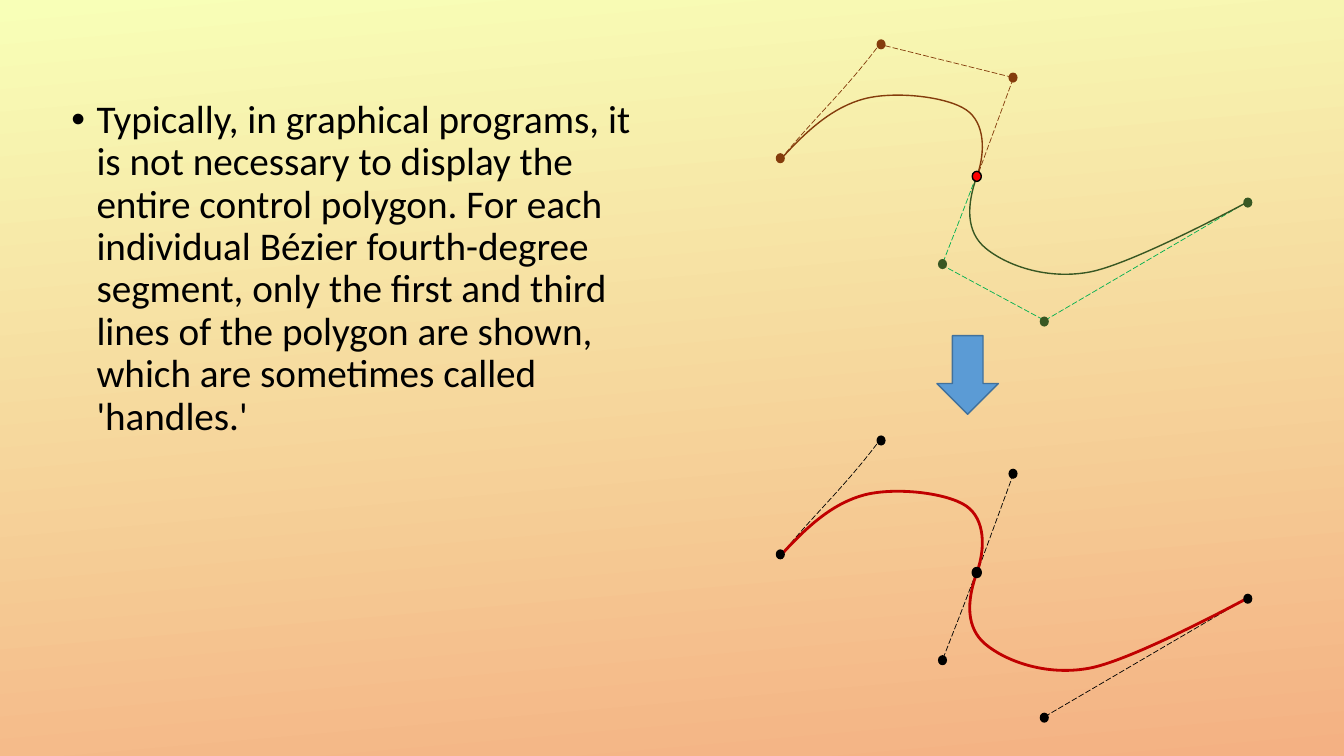
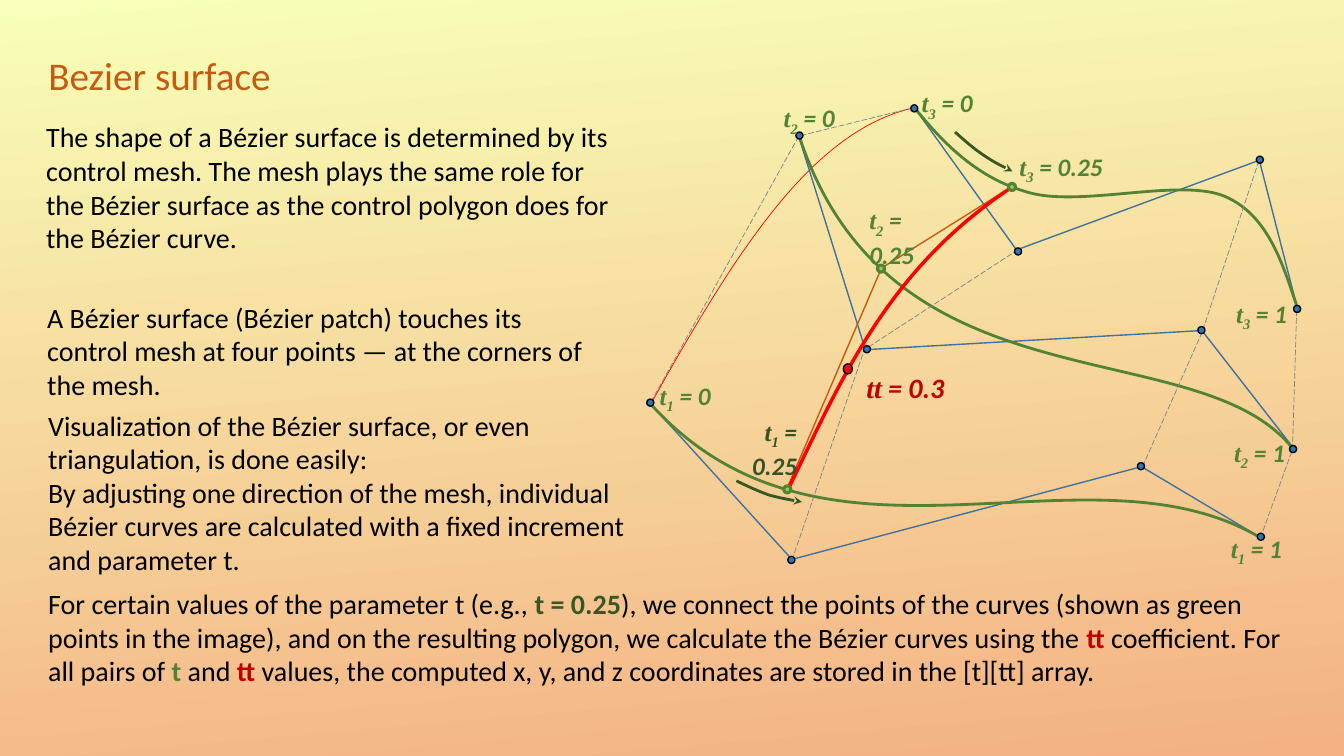
from lxml import etree
from pptx import Presentation
from pptx.dml.color import RGBColor
from pptx.enum.dml import MSO_LINE
from pptx.enum.shapes import MSO_SHAPE
from pptx.enum.text import MSO_ANCHOR, MSO_AUTO_SIZE, PP_ALIGN
from pptx.oxml.ns import qn
from pptx.util import Inches, Pt

LONG_DASH = MSO_LINE.LONG_DASH
ELLIPSE, DOWN_ARROW = MSO_SHAPE.OVAL, MSO_SHAPE.DOWN_ARROW
LEFT, RIGHT = PP_ALIGN.LEFT, PP_ALIGN.RIGHT
TOP = MSO_ANCHOR.TOP
FIT_SHAPE, NO_FIT = MSO_AUTO_SIZE.SHAPE_TO_FIT_TEXT, MSO_AUTO_SIZE.NONE

BLACK = RGBColor(0x00, 0x00, 0x00)
RED = RGBColor(0xFF, 0x00, 0x00)
CRIMSON = RGBColor(0xC0, 0x00, 0x00)
BROWN = RGBColor(0x84, 0x3C, 0x0C)
ORANGE = RGBColor(0xC5, 0x5A, 0x11)
GREEN = RGBColor(0x54, 0x82, 0x35)
DARK_GREEN = RGBColor(0x38, 0x57, 0x23)
OLIVE = RGBColor(0x36, 0x54, 0x22)
BRIGHT_GREEN = RGBColor(0x00, 0xB0, 0x50)
LIME = RGBColor(0x92, 0xD0, 0x50)
BLUE = RGBColor(0x5B, 0x9B, 0xD5)
MESH_BLUE = RGBColor(0x41, 0x71, 0x9C)
NODE_BLUE = RGBColor(0x2E, 0x75, 0xB6)
GREY = RGBColor(0x7F, 0x7F, 0x7F)
PALE_YELLOW = RGBColor(0xF8, 0xFF, 0xB7)
PEACH = RGBColor(0xF4, 0xB1, 0x83)

BODY_FONT, MATH_FONT = "Calibri", "Times New Roman"


def write(shape, paragraphs, size=20, color=BLACK, bold=False, italic=False,
          align=LEFT, fit=FIT_SHAPE, bullet=False, spacing=None):
    frame = shape.text_frame
    frame.word_wrap = True
    frame.auto_size = fit
    frame.vertical_anchor = TOP
    for index, runs in enumerate(paragraphs):
        paragraph = frame.add_paragraph() if index else frame.paragraphs[0]
        paragraph.alignment = align
        if spacing:
            paragraph.line_spacing = spacing
        if bullet:
            properties = paragraph._p.get_or_add_pPr()
            properties.set("marL", str(Inches(0.25)))
            properties.set("indent", str(-Inches(0.25)))
            etree.SubElement(properties, qn("a:buFont")).set("typeface", "Arial")
            etree.SubElement(properties, qn("a:buChar")).set("char", "•")
        for text, style in runs:
            run = paragraph.add_run()
            run.text = text
            run.font.size = Pt(size)
            run.font.name = style.get("font", BODY_FONT)
            run.font.bold = style.get("bold", bold)
            run.font.italic = italic
            run.font.color.rgb = style.get("color", color)
            if style.get("subscript"):
                run._r.get_or_add_rPr().set("baseline", "-25000")


def trace(slide, steps, color, width, dash=None, arrow=False, dy=0):
    steps = [[(x, y + dy) for x, y in zip(step[::2], step[1::2])] for step in steps]
    outline = [steps[0][0]]
    for step in steps[1:]:
        if len(step) == 1:
            outline += step
            continue
        corners = [outline[-1]] + step
        for i in range(1, 25):
            t = i / 24
            weights = ((1 - t) ** 3, 3 * t * (1 - t) ** 2, 3 * t * t * (1 - t), t ** 3)
            outline.append(tuple(sum(w * corner[axis] for w, corner in zip(weights, corners))
                                 for axis in (0, 1)))
    outline = [(Inches(x), Inches(y)) for x, y in outline]
    builder = slide.shapes.build_freeform(*outline[0])
    builder.add_line_segments(outline[1:], close=False)
    curve = builder.convert_to_shape()
    geometry = curve._element.find(".//" + qn("a:path"))
    for segment in list(geometry):
        geometry.remove(segment)
    for index, step in enumerate(steps):
        tag = "a:moveTo" if index == 0 else "a:lnTo" if len(step) == 1 else "a:cubicBezTo"
        segment = etree.SubElement(geometry, qn(tag))
        for x, y in step:
            point = etree.SubElement(segment, qn("a:pt"))
            point.set("x", str(Inches(x) - curve.left))
            point.set("y", str(Inches(y) - curve.top))
    curve.shadow.inherit = False
    curve.fill.background()
    curve.line.color.rgb = color
    curve.line.width = Pt(width)
    if dash:
        curve.line.dash_style = dash
    if arrow:
        etree.SubElement(curve.line._get_or_add_ln(), qn("a:tailEnd")).set("type", "stealth")


prs = Presentation()
prs.slide_width, prs.slide_height = Inches(13.34), Inches(7.5)
backdrop = prs.slide_master.background.fill
backdrop.gradient()
backdrop.gradient_angle = 275
for stop, color in zip(backdrop.gradient_stops, (PALE_YELLOW, PEACH)):
    stop.color.rgb = color

handles_slide = prs.slides.add_slide(prs.slide_layouts[6])
surface_slide = prs.slides.add_slide(prs.slide_layouts[5])
dots = []

explanation = handles_slide.shapes.add_textbox(Inches(0.61), Inches(0.94), Inches(5.97), Inches(5.81))
write(explanation, [[(
    "Typically, in graphical programs, it is not necessary to display the entire control polygon. "
    "For each individual Bézier fourth-degree segment, only the first and third lines of the "
    "polygon are shown, which are sometimes called 'handles.'", {})]],
    size=28, fit=NO_FIT, bullet=True, spacing=0.9)

HANDLES_DY = 3.93
handles = [
    [(7.75, 1.58), (8.07, 1.18, 8.37, 0.92, 8.73, 0.44)],
    [(10.06, 0.77), (9.7, 1.75)],
    [(9.69, 1.75), (9.5, 2.25, 9.53, 2.17, 9.35, 2.63)],
    [(10.37, 3.18), (12.42, 1.98)],
]
upper_curve = [(7.75, 1.58), (8.03, 1.27, 8.28, 1.06, 8.58, 0.98),
               (8.89, 0.9, 9.4, 0.96, 9.59, 1.09), (9.78, 1.22, 9.78, 1.51, 9.7, 1.74)]
lower_curve = [(9.7, 1.74), (9.59, 2.04, 9.59, 2.3, 9.78, 2.46),
               (9.97, 2.62, 10.37, 2.78, 10.81, 2.7), (11.25, 2.62, 12.41, 1.99, 12.41, 1.99)]

trace(handles_slide, handles[0] + handles[1], BROWN, 0.5, LONG_DASH)
trace(handles_slide, handles[2] + handles[3], BRIGHT_GREEN, 0.5, LONG_DASH)
for handle in handles:
    trace(handles_slide, handle, BLACK, 0.5, LONG_DASH, dy=HANDLES_DY)
for curve_steps, color in ((upper_curve, BROWN), (lower_curve, DARK_GREEN)):
    trace(handles_slide, curve_steps, color, 1)
    trace(handles_slide, curve_steps, CRIMSON, 2, dy=HANDLES_DY)

for left, top, color, outline in (
        (7.7, 1.52, BROWN, None), (8.7, 0.39, BROWN, None), (10.01, 0.72, BROWN, None),
        (9.65, 1.7, RED, BLACK), (9.31, 2.57, DARK_GREEN, None),
        (10.32, 3.14, DARK_GREEN, None), (12.34, 1.96, DARK_GREEN, None)):
    dots.append((handles_slide, left, top, 0.09, 0.1, color, outline, 1))
    dots.append((handles_slide, left, top + HANDLES_DY, 0.09, 0.1, BLACK, outline, 1))

down_arrow = handles_slide.shapes.add_shape(
    DOWN_ARROW, Inches(9.3), Inches(3.33), Inches(0.61), Inches(0.78))
down_arrow.shadow.inherit = False
down_arrow.fill.solid()
down_arrow.fill.fore_color.rgb = BLUE
down_arrow.line.color.rgb = MESH_BLUE
down_arrow.line.width = Pt(1)

heading = surface_slide.shapes.title
heading.left, heading.top = Inches(0.38), Inches(0.46)
heading.width, heading.height = Inches(4.53), Inches(0.57)
write(heading, [[("Bezier surface", {})]], size=28, color=ORANGE, fit=NO_FIT)

tt_style = {"color": CRIMSON, "bold": True}
for left, top, width, height, paragraphs in (
        (0.36, 1.14, 5.93, 1.44, [[(
            "The shape of a Bézier surface is determined by its control mesh. The mesh plays the "
            "same role for the Bézier surface as the control polygon does for the Bézier curve.", {})]]),
        (0.37, 2.93, 5.69, 1.1, [[(
            "A Bézier surface (Bézier patch) touches its control mesh at four points — at the "
            "corners of the mesh.", {})]]),
        (0.38, 4, 6.04, 1.77, [
            [("Visualization of the Bézier surface, or even triangulation, is done easily:", {})],
            [("By adjusting one direction of the mesh, individual Bézier curves are calculated "
              "with a fixed increment and parameter t.", {})]]),
        (0.38, 5.77, 12.74, 1.1, [[
            ("For certain values of the parameter t (e.g., ", {}),
            ("t = 0.25", {"color": DARK_GREEN, "bold": True}),
            ("), we connect the points of the curves (shown as green points in the image), and on "
             "the resulting polygon, we calculate the Bézier curves using the ", {}),
            ("tt", tt_style),
            (" coefficient. For all pairs of ", {}),
            ("t", {"color": GREEN, "bold": True}),
            (" and ", {}),
            ("tt", tt_style),
            (" values, the computed x, y, and z coordinates are stored in the [t][tt] array.", {})]])):
    passage = surface_slide.shapes.add_textbox(Inches(left), Inches(top), Inches(width), Inches(height))
    write(passage, paragraphs)

trace(surface_slide, [(6.47, 3.99), (7.35, 2.41, 8.09, 1.29, 9.07, 1.07)], RED, 0.5)
for mesh_row in (
        [(6.47, 4.02), (7.86, 5.55), (11.33, 4.63), (12.49, 5.32)],
        [(7.93, 1.36), (8.59, 3.47), (11.93, 3.28), (12.85, 4.46)],
        [(9.07, 1.06), (10.09, 2.48), (12.5, 1.59), (12.88, 3.07)]):
    trace(surface_slide, mesh_row, MESH_BLUE, 1)
for row_curve in (
        [(6.46, 4.01), (8.2, 5.93, 10.79, 4.31, 12.52, 5.34)],
        [(7.93, 1.34), (8.83, 4.13, 11.91, 3.26, 12.84, 4.46)],
        [(9.07, 1.06), (9.36, 1.42, 9.7, 1.77, 10.21, 1.91),
         (10.73, 2.06, 11.72, 1.76, 12.16, 1.95), (12.6, 2.14, 12.74, 2.65, 12.88, 3.06)]):
    trace(surface_slide, row_curve, GREEN, 2)
for mesh_column in (
        [(6.46, 3.99), (7.93, 1.35), (9.06, 1.07)],
        [(12.51, 5.34), (12.83, 4.46), (12.87, 3.11)],
        [(7.86, 5.56), (8.58, 3.47), (10.07, 2.5)],
        [(11.34, 4.63), (11.93, 3.3), (12.49, 1.61)]):
    trace(surface_slide, mesh_column, GREY, 0.5, LONG_DASH)
trace(surface_slide, [(7.81, 4.85), (8.75, 2.66), (10.03, 1.86)], ORANGE, 1)
trace(surface_slide, [(7.82, 4.86), (8.35, 3.77, 8.8, 2.68, 10.04, 1.86)], RED, 2.5)
for direction in (
        [(7.31, 4.77), (7.41, 4.82, 7.52, 4.87, 7.63, 4.91), (7.74, 4.94, 7.85, 4.96, 7.96, 4.98)],
        [(9.48, 1.31), (9.57, 1.39, 9.66, 1.47, 9.75, 1.53), (9.85, 1.6, 9.95, 1.65, 10.05, 1.7)]):
    trace(surface_slide, direction, DARK_GREEN, 2, arrow=True)

for left, top in ((10.01, 1.82), (8.71, 2.63), (7.78, 4.82)):
    dots.append((surface_slide, left, top, 0.07, 0.07, LIME, GREEN, 2.25))
for left, top in ((6.42, 3.96), (8.57, 3.43), (7.82, 5.52), (11.29, 4.59), (12.48, 5.29),
                  (12.8, 4.42), (12.84, 3.03), (12.47, 1.55), (10.07, 2.46), (11.89, 3.24),
                  (9.04, 1.04), (7.9, 1.31)):
    dots.append((surface_slide, left, top, 0.07, 0.07, NODE_BLUE, BLACK, 1))
dots.append((surface_slide, 8.37, 3.61, 0.09, 0.1, RED, BLACK, 1))

for slide, left, top, width, height, color, outline, line_width in dots:
    dot = slide.shapes.add_shape(ELLIPSE, Inches(left), Inches(top), Inches(width), Inches(height))
    dot.shadow.inherit = False
    dot.fill.solid()
    dot.fill.fore_color.rgb = color
    if outline is None:
        dot.line.fill.background()
    else:
        dot.line.color.rgb = outline
        dot.line.width = Pt(line_width)

for symbol, subscript, values, left, top, width, size, color, align in (
        ("t", "2", [" =", "0.25"], 8.53, 1.98, 0.8, 18, GREEN, LEFT),
        ("t", "1", [" =", "0.25"], 7.21, 4.08, 0.8, 18, OLIVE, RIGHT),
        ("t", "3", [" = 0.25"], 10.02, 1.45, 1.2, 18, GREEN, LEFT),
        ("t", "3", [" = 0"], 9.05, 0.82, 0.85, 18, GREEN, LEFT),
        ("t", "2", [" = 0"], 7.68, 0.97, 0.85, 18, GREEN, LEFT),
        ("t", "1", [" = 0"], 6.45, 3.72, 0.85, 18, GREEN, LEFT),
        ("t", "1", [" = 1"], 12.12, 5.24, 0.85, 18, GREEN, LEFT),
        ("t", "2", [" = 1"], 12.15, 4.29, 0.85, 18, GREEN, LEFT),
        ("t", "3", [" = 1"], 12.17, 2.91, 0.85, 18, GREEN, LEFT),
        ("tt", "", [" = 0.3"], 8.5, 3.63, 1.15, 20, CRIMSON, LEFT)):
    paragraphs = [[(value, {})] for value in values]
    if subscript:
        paragraphs[0].insert(0, (subscript, {"font": MATH_FONT, "subscript": True}))
    paragraphs[0].insert(0, (symbol, {"font": MATH_FONT}))
    label = surface_slide.shapes.add_textbox(
        Inches(left), Inches(top), Inches(width), Inches(0.14 + 0.3 * len(values)))
    write(label, paragraphs, size=size, color=color, bold=True, italic=True, align=align)

prs.save("out.pptx")
